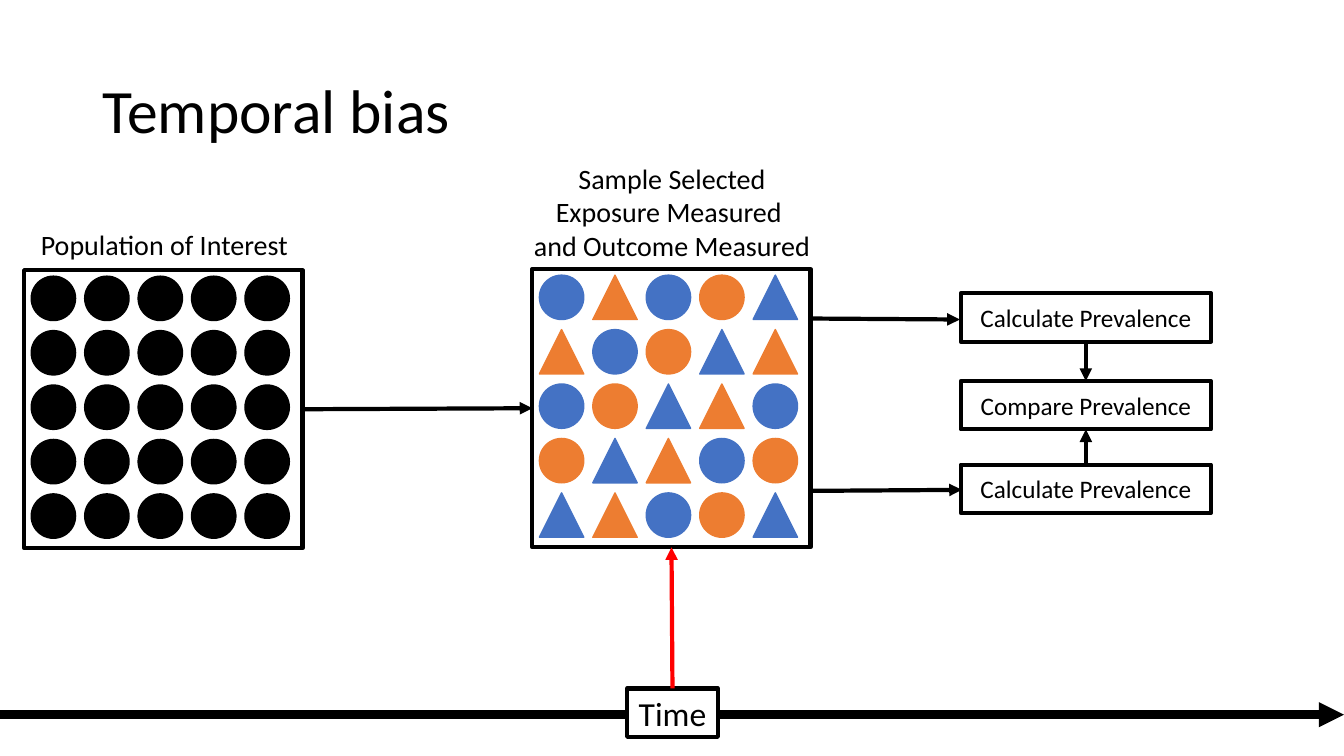
from lxml.etree import SubElement
from pptx import Presentation
from pptx.dml.color import RGBColor
from pptx.enum.shapes import MSO_CONNECTOR as Connector, MSO_SHAPE as Preset
from pptx.enum.text import MSO_ANCHOR as Anchor, PP_ALIGN as Align
from pptx.oxml.ns import qn
from pptx.util import Emu, Pt

PX = 9144  # 100 px to the inch
COLORS = {"black": "000000", "white": "FFFFFF", "blue": "4472C4",
          "orange": "ED7D31", "red": "FF0000"}
CIRCLE, TRIANGLE, BOX = Preset.OVAL, Preset.ISOSCELES_TRIANGLE, Preset.RECTANGLE

# Letter case gives the shape, the letter gives the colour
PEOPLE = {"B": (CIRCLE, "blue"), "b": (TRIANGLE, "blue"),
          "O": (CIRCLE, "orange"), "o": (TRIANGLE, "orange"),
          "K": (CIRCLE, "black")}
SAMPLE = ["BoBOb", "oBObo", "BOboB", "oBoBO", "boBOb"]
SAMPLE[3] = "OboBO"
POPULATION = ["KKKKK"] * 5
PANEL_SIZE, PERSON_SIZE = 276, 44
COLUMN_STEP, ROW_STEP = 53, 54


def px(*lengths):
    return [Emu(length * PX) for length in lengths]


def rgb(name):
    return RGBColor.from_string(COLORS[name])


def write_text(shape, lines, size, align=Align.CENTER, anchor=Anchor.MIDDLE,
               wrap=True, spacing=1.0):
    frame = shape.text_frame
    for name, value in {"word_wrap": wrap, "vertical_anchor": anchor}.items():
        setattr(frame, name, value)
    for index, line in enumerate(lines):
        paragraph = frame.paragraphs[0] if index == 0 else frame.add_paragraph()
        paragraph.text = line
        paragraph.alignment = align
        paragraph.line_spacing = spacing
        for name, value in {"name": "Calibri", "size": Pt(size)}.items():
            setattr(paragraph.font, name, value)
        paragraph.font.color.rgb = rgb("black")


def add_label(shapes, bounds, lines, size, **text_format):
    write_text(shapes.add_textbox(*px(*bounds)), lines, size, **text_format)


def add_figure(shapes, preset, bounds, line="black", width=3, fill=None):
    shape = shapes.add_shape(preset, *px(*bounds))
    shape.shadow.inherit = False
    if fill:
        shape.fill.solid()
        shape.fill.fore_color.rgb = rgb(fill)
    else:
        shape.fill.background()
    shape.line.color.rgb = rgb(line)
    shape.line.width = Pt(width)
    return shape


def add_box(shapes, bounds, text, size, fill=None):
    write_text(add_figure(shapes, BOX, bounds, fill=fill), [text], size)


def add_arrow(shapes, start, end, color="black", width=3):
    arrow = shapes.add_connector(Connector.STRAIGHT, *px(*start, *end))
    arrow.line.color.rgb = rgb(color)
    arrow.line.width = Pt(width)
    SubElement(arrow.line._get_or_add_ln(), qn("a:tailEnd"), type="triangle")
    SubElement(arrow._element.spPr, qn("a:effectLst"))


def add_panel(slide, left, top, rows):
    """Framed grid of people, kept together as one group."""
    shapes = slide.shapes.add_group_shape().shapes
    add_figure(shapes, BOX, (left, top, PANEL_SIZE, PANEL_SIZE))
    for row, people in enumerate(rows):
        for column, person in enumerate(people):
            preset, color = PEOPLE[person]
            bounds = (left + 7 + column * COLUMN_STEP, top + 6 + row * ROW_STEP,
                      PERSON_SIZE, PERSON_SIZE)
            add_figure(shapes, preset, bounds, line=color, width=1, fill=color)


def main():
    presentation = Presentation()
    presentation.slide_width, presentation.slide_height = px(1333, 750)
    slide = presentation.slides.add_slide(presentation.slide_layouts[6])
    shapes = slide.shapes

    # Title
    add_label(shapes, (92, 40, 1150, 145), ["Temporal bias"], 44,
              align=Align.LEFT, spacing=0.9)

    # Population and sample
    add_panel(slide, 24, 268, POPULATION)
    add_panel(slide, 528, 267, SAMPLE)
    add_label(shapes, (29, 221, 268, 44), ["Population of Interest"], 20,
              anchor=Anchor.TOP, wrap=False)
    add_label(shapes, (518, 155, 297, 111),
              ["Sample Selected", "Exposure Measured ", "and Outcome Measured"],
              20, anchor=Anchor.TOP, wrap=False)

    # Prevalence boxes
    for top, verb in ((291, "Calculate"), (378, "Compare"), (461, "Calculate")):
        add_box(shapes, (953, top, 248, 48), f"{verb} Prevalence", 18)

    # Flow arrows
    for start, end in (((301, 406), (528, 405)),
                       ((802, 316), (952, 317)),
                       ((804, 487), (954, 486)),
                       ((1077, 339), (1077, 378)),
                       ((1077, 461), (1077, 426))):
        add_arrow(shapes, start, end)

    # Time axis
    add_arrow(shapes, (0, 709), (1333, 709), width=6)
    add_box(shapes, (622, 683, 90, 48), "Time", 24, fill="white")
    add_arrow(shapes, (667, 683), (666, 543), color="red")

    presentation.save("out.pptx")


if __name__ == "__main__":
    main()
